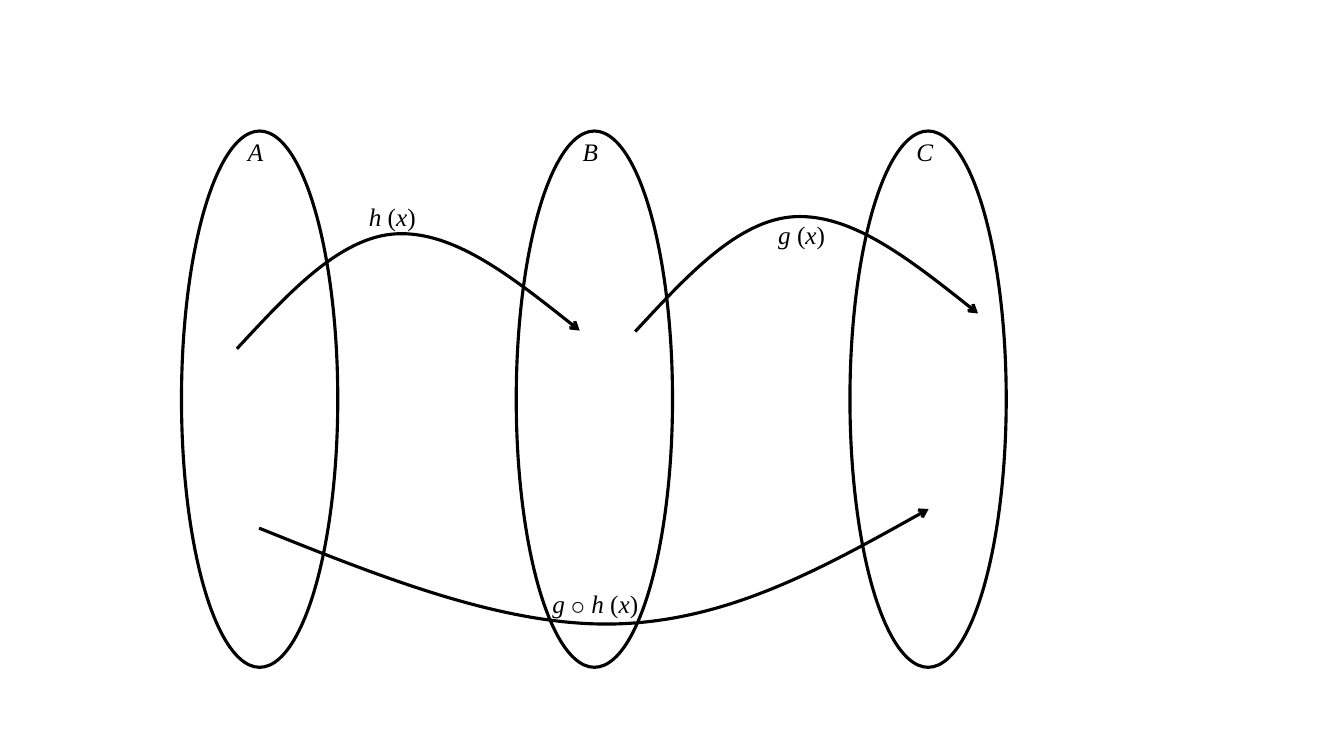
from dataclasses import dataclass
from itertools import groupby

from lxml.etree import SubElement
from pptx import Presentation
from pptx.dml.color import RGBColor
from pptx.enum.shapes import MSO_SHAPE as Preset
from pptx.enum.text import MSO_AUTO_SIZE as AutoSize
from pptx.oxml.ns import qn
from pptx.util import Pt

EMU_PER_PX = 9144
PAGE_SIZE = (1333, 750)
SET_SIZE = (155, 532)
LABEL_HEIGHT = 40

Point = tuple[int, int]


@dataclass(frozen=True)
class Theme:
    ink: RGBColor = RGBColor(0, 0, 0)
    font: str = "Times New Roman"
    text_size: Pt = Pt(18)
    line_width: Pt = Pt(2.25)


@dataclass(frozen=True)
class Label:
    text: str
    left: int
    top: int
    width: int


@dataclass(frozen=True)
class SetOval:
    name: str
    left: int
    top: int = 130

    @property
    def label(self) -> Label:
        return Label(self.name, self.left + 56, self.top, 43)


@dataclass(frozen=True)
class Mapping:
    """Two joined cubic curves; bends are control and end points relative to start."""
    start: Point
    bends: tuple[Point, ...]
    label: Label


THEME = Theme()
HOP = ((51, -55), (102, -111), (158, -114), (215, -117), (277, -68), (340, -18))
DIP = ((122, 49), (244, 98), (354, 95), (465, 92), (564, 37), (664, -19))

SETS = [SetOval("A", 180), SetOval("B", 512), SetOval("C", 843)]
MAPPINGS = [
    Mapping((235, 346), HOP, Label("h (x)", 356, 195, 74)),
    Mapping((630, 329), HOP, Label("g (x)", 762, 213, 74)),
    Mapping((257, 524), DIP, Label("g ⚬ h (x)", 538, 579, 114)),
]


def px(*lengths: int) -> list[int]:
    return [length * EMU_PER_PX for length in lengths]


def outline(shape) -> None:
    shape.shadow.inherit = False
    shape.fill.background()
    shape.line.color.rgb = THEME.ink
    shape.line.width = THEME.line_width


def draw_set(page, oval: SetOval) -> None:
    outline(page.shapes.add_shape(Preset.OVAL, *px(oval.left, oval.top, *SET_SIZE)))


def draw_label(page, label: Label) -> None:
    """Write a formula with its letters in italics and its signs upright."""
    box = page.shapes.add_textbox(*px(label.left, label.top, label.width, LABEL_HEIGHT))
    frame = box.text_frame
    frame.word_wrap = True
    frame.auto_size = AutoSize.SHAPE_TO_FIT_TEXT
    para = frame.paragraphs[0]
    for is_letter, characters in groupby(label.text, str.isalpha):
        span = para.add_run()
        span.text = "".join(characters)
        span.font.color.rgb = THEME.ink
        looks = {"name": THEME.font, "size": THEME.text_size, "italic": is_letter}
        for attribute, value in looks.items():
            setattr(span.font, attribute, value)


def draw_mapping(page, mapping: Mapping) -> None:
    x, y = mapping.start
    points = [(x + dx, y + dy) for dx, dy in mapping.bends]
    ends = points[2::3]
    builder = page.shapes.build_freeform(x, y, scale=EMU_PER_PX)
    builder.add_line_segments(ends, close=False)
    curve = builder.convert_to_shape()
    outline(curve)

    left = min(x, *(end[0] for end in ends))
    top = min(y, *(end[1] for end in ends))
    outline_path = next(curve.element.iter(qn("a:path")))
    for segment in outline_path.findall(qn("a:lnTo")):
        outline_path.remove(segment)
    for first in range(0, len(points), 3):
        bend = SubElement(outline_path, qn("a:cubicBezTo"))
        for point_x, point_y in points[first:first + 3]:
            SubElement(bend, qn("a:pt"), x=str(point_x - left), y=str(point_y - top))
    line = curve.element.spPr.find(qn("a:ln"))
    SubElement(line, qn("a:tailEnd"), type="arrow")


def main() -> None:
    deck = Presentation()
    deck.slide_width, deck.slide_height = px(*PAGE_SIZE)
    page = deck.slides.add_slide(deck.slide_layouts[6])
    for oval in SETS:
        draw_set(page, oval)
        draw_label(page, oval.label)
    for mapping in MAPPINGS:
        draw_mapping(page, mapping)
        draw_label(page, mapping.label)
    deck.save("out.pptx")


if __name__ == "__main__":
    main()
